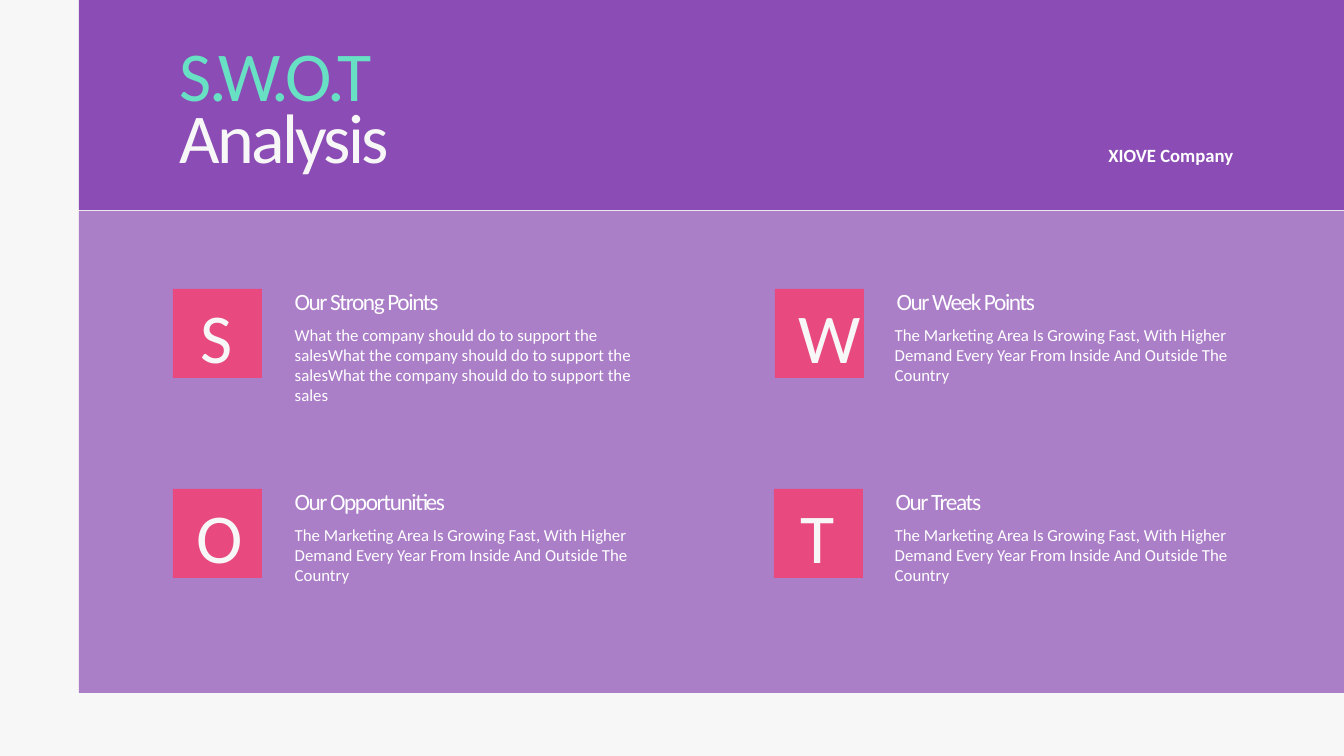
from pptx import Presentation
from pptx.dml.color import RGBColor as Rgb
from pptx.enum.shapes import MSO_SHAPE as Shape
from pptx.enum.text import MSO_ANCHOR as Anchor, MSO_AUTO_SIZE as AutoSize, PP_ALIGN as Align
from pptx.oxml.ns import qn
from pptx.util import Pt
from lxml.etree import SubElement

PX = 914400 / 67.2
COLORS = {
    "paper": "F7F7F7",
    "purple": "8B4CB5",
    "pink": "E84A80",
    "mint": "67E0C4",
    "white": "FFFFFF",
}
GROWTH = ("The Marketing Area Is Growing Fast, With Higher Demand Every Year "
          "From Inside And Outside The Country")
SUPPORT = "What the company should do to support the sales"
POINTS = [
    ("S", "Our Strong Points", SUPPORT * 3, 173, 288, 289),
    ("O", "Our Opportunities", GROWTH, 173, 288, 489),
    ("W", "Our Week Points", GROWTH, 775, 888, 289),
    ("T", "Our Treats", GROWTH, 774, 888, 489),
]


def add_block(left, top, width, height, color):
    block = slide.shapes.add_shape(Shape.RECTANGLE, *[round(n * PX) for n in (left, top, width, height)])
    block.shadow.inherit = False
    block.fill.solid()
    block.fill.fore_color.rgb = Rgb.from_string(COLORS[color])
    block.line.fill.background()
    return block


def write(place, text, size, color, align=Align.LEFT, line=1.0, spacing=0, bold=False, holder=None):
    left, top, width, height = [round(n * PX) for n in place]
    box = holder or slide.shapes.add_textbox(left, top, width, height)
    box.left, box.top, box.width, box.height = left, top, width, height
    slide.shapes.element.append(box.element)
    frame = box.text_frame
    frame.text = text
    frame.word_wrap = True
    frame.auto_size = AutoSize.NONE
    frame.vertical_anchor = Anchor.TOP
    para = frame.paragraphs[0]
    para.alignment = align
    para.line_spacing = line
    para.space_before = Pt(0)
    properties = para._p.get_or_add_pPr()
    properties.set("marL", "0")
    properties.set("indent", "0")
    SubElement(properties, qn("a:buNone"))
    para.font.name = "Calibri"
    para.font.size = Pt(size)
    para.font.bold = bold
    para.font.color.rgb = Rgb.from_string(COLORS[color])
    properties.find(qn("a:defRPr")).set("spc", str(spacing))


deck = Presentation()
deck.slide_width, deck.slide_height = round(1344 * PX), round(756 * PX)
slide = deck.slides.add_slide(deck.slide_layouts.get_by_name("Comparison"))
slide.background.fill.solid()
slide.background.fill.fore_color.rgb = Rgb.from_string(COLORS["paper"])
title, *descriptions = slide.placeholders

content_panel = add_block(79, 211, 1265, 482, "purple")
panel_color = content_panel.element.spPr.find(qn("a:solidFill"))[0]
SubElement(panel_color, qn("a:alpha")).set("val", "70000")
add_block(79, 0, 1265, 210, "purple")

write((173, 44, 237, 61), "S.W.O.T", 75, "mint", line=0.8, spacing=-300, holder=title)
write((173, 106, 237, 61), "Analysis", 75, "paper", line=0.8, spacing=-300)
write((1031, 141, 209, 26), "XIOVE Company", 20, "white", align=Align.RIGHT, bold=True)

for point, description in zip(POINTS, descriptions):
    letter, heading, text, tile_left, text_left, top = point
    add_block(tile_left, top, 89, 89, "pink")
    write((tile_left + 17, top + 17, 54, 54), letter, 75, "paper",
          align=Align.CENTER, line=0.8, spacing=-300)
    write((tile_left + 115, top, 350, 22), heading, 25, "white", line=0.8, spacing=-150)
    write((text_left, top + 32, 351, 137), text, 18, "white", holder=description)

deck.save("out.pptx")
